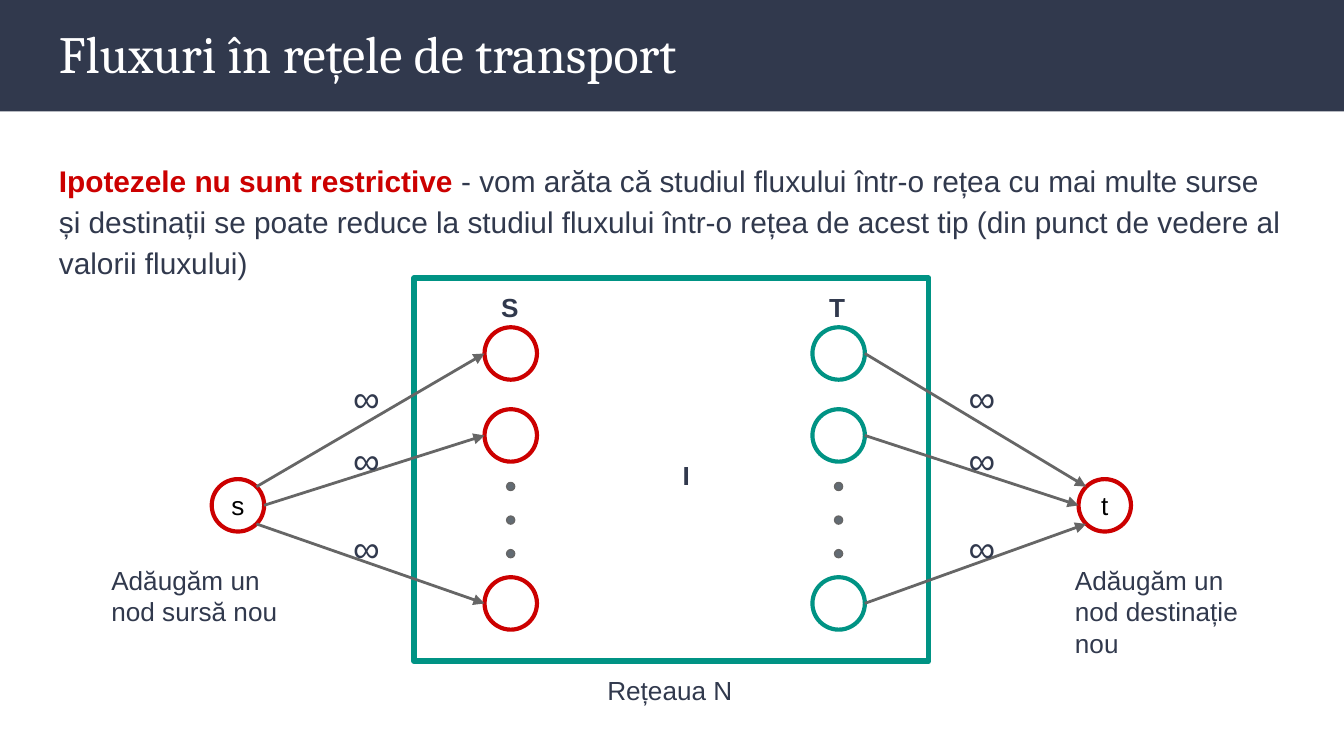
from pptx import Presentation
from pptx.dml.color import RGBColor
from pptx.enum.shapes import MSO_CONNECTOR, MSO_SHAPE
from pptx.enum.text import MSO_ANCHOR, PP_ALIGN
from pptx.oxml.ns import qn
from pptx.util import Inches, Pt
from lxml import etree

RECTANGLE, OVAL = MSO_SHAPE.RECTANGLE, MSO_SHAPE.OVAL
STRAIGHT = MSO_CONNECTOR.STRAIGHT
MIDDLE, CENTER = MSO_ANCHOR.MIDDLE, PP_ALIGN.CENTER

COLORS = {
    "navy": "31394D",
    "red": "CC0000",
    "teal": "009384",
    "gray": "666666",
    "dot": "626B73",
    "white": "FFFFFF",
    "black": "000000",
}
NODE = 0.39
DOT = 0.06
NODE_ROWS = (0.56, 1.17, 2.42)
HUB_ROW = 1.69
CAPACITY_TOPS = (0.62, 1.08, 1.74)


def color(name):
    return RGBColor.from_string(COLORS[name])


def set_font(font, size, name, family="Arial", bold=False):
    font.size = Pt(size)
    font.name = family
    font.bold = bold
    font.color.rgb = color(name)


def add_shape(page, kind, left, top, width, height, fill=None, line=None, weight=1):
    shape = page.shapes.add_shape(
        kind, Inches(left), Inches(top), Inches(width), Inches(height))
    shape.shadow.inherit = False
    if fill:
        shape.fill.solid()
        shape.fill.fore_color.rgb = color(fill)
    else:
        shape.fill.background()
    if line:
        shape.line.color.rgb = color(line)
        shape.line.width = Pt(weight)
    else:
        shape.line.fill.background()
    return shape


def add_text(page, left, top, width, height, text="", size=14, name="navy", **font):
    box = page.shapes.add_textbox(
        Inches(left), Inches(top), Inches(width), Inches(height))
    frame = box.text_frame
    frame.word_wrap = True
    frame.margin_left = frame.margin_right = Inches(0.1)
    frame.margin_top = frame.margin_bottom = Inches(0.1)
    para = frame.paragraphs[0]
    para.text = text
    set_font(para.font, size, name, **font)
    return para


def add_circle(page, x, y, size, **style):
    """Place a circle by its centre."""
    return add_shape(page, OVAL, x - size / 2, y - size / 2, size, size, **style)


def add_arrow(page, start, end):
    arrow = page.shapes.add_connector(STRAIGHT, *map(Inches, start + end))
    arrow.line.color.rgb = color("gray")
    arrow.line.width = Pt(1.5)
    properties = arrow._element.spPr
    etree.SubElement(properties.find(qn("a:ln")), qn("a:tailEnd"), type="triangle")
    etree.SubElement(properties, qn("a:effectLst"))


def add_header(page, left, top, width, height):
    add_shape(page, RECTANGLE, left, top, width, height, fill="navy")
    add_text(page, left + 0.34, top + 0.06, width - 0.68, 0.68,
             "Fluxuri în rețele de transport", 28, "white", family="Cambria")


def add_statement(page, left, top, width, height):
    para = add_text(page, left, top, width, height, size=16)
    para.line_spacing = 1.15
    lead = para.add_run()
    lead.text = "Ipotezele nu sunt restrictive"
    lead.font.bold = True
    lead.font.color.rgb = color("red")
    para.add_run().text = (
        " - vom arăta că studiul fluxului într-o rețea cu mai multe surse și "
        "destinații se poate reduce la studiul fluxului într-o rețea de acest tip "
        "(din punct de vedere al valorii fluxului)")


def add_terminals(page, column, hub, top, heading, label, line, capacity_left):
    """Draw a column of nodes joined to one new hub node; column and hub are centres."""
    add_text(page, column - 0.17, top, 0.35, 0.44, heading, bold=True)
    for step in range(3):
        add_circle(page, column, top + 1.55 + 0.25 * step, DOT,
                   fill="dot", line="gray", weight=0.75)

    hub_y = top + HUB_ROW
    hub_node = add_circle(page, hub, hub_y, NODE, line="red", weight=2.25)
    frame = hub_node.text_frame
    frame.margin_left = frame.margin_right = Inches(0.02)
    frame.margin_top = frame.margin_bottom = Inches(0.02)
    frame.vertical_anchor = MIDDLE
    para = frame.paragraphs[0]
    para.text = label
    para.alignment = CENTER
    set_font(para.font, 14, "black")

    radius = NODE / 2
    diagonal = radius * 0.71
    outward = 1 if hub > column else -1
    hub_offsets = ((diagonal, -diagonal), (radius, 0), (diagonal, diagonal))
    for row, capacity_top, (dx, dy) in zip(NODE_ROWS, CAPACITY_TOPS, hub_offsets):
        add_circle(page, column, top + row, NODE, line=line, weight=2.25)
        node_end = (column + outward * radius, top + row)
        hub_end = (hub - outward * dx, hub_y + dy)
        if outward > 0:
            add_arrow(page, node_end, hub_end)
        else:
            add_arrow(page, hub_end, node_end)
        add_text(page, capacity_left, top + capacity_top, 0.33, 0.54, "∞", 20)


def add_network(page, left, top, width, height):
    """Draw the framed network N and the new source and sink outside it."""
    add_shape(page, RECTANGLE, left, top, width, height, line="teal", weight=3)
    add_terminals(page, left + 0.72, left - 1.31, top, "S", "s", "red", left - 0.55)
    add_terminals(page, left + 3.16, left + 5.14, top, "T", "t", "teal", left + 4.03)
    add_text(page, left + 1.9, top + 1.25, 0.35, 0.44, "I", bold=True)
    add_text(page, left + 1.34, top + height, 1.15, 0.44, "Rețeaua N")
    add_text(page, left - 2.35, top + 2.03, 1.64, 0.67, "Adăugăm un nod sursă nou")
    add_text(page, left + 4.82, top + 2.03, 1.64, 0.91,
             "Adăugăm un nod destinație nou")


def main():
    deck = Presentation()
    deck.slide_width = Inches(10)
    deck.slide_height = deck.slide_width * 9 // 16
    page = deck.slides.add_slide(deck.slide_layouts[6])
    add_header(page, 0, 0, 10, 0.83)
    add_statement(page, 0.34, 1.07, 9.32, 4.11)
    add_network(page, 3.08, 2.07, 3.83, 2.85)
    deck.save("out.pptx")


if __name__ == "__main__":
    main()
